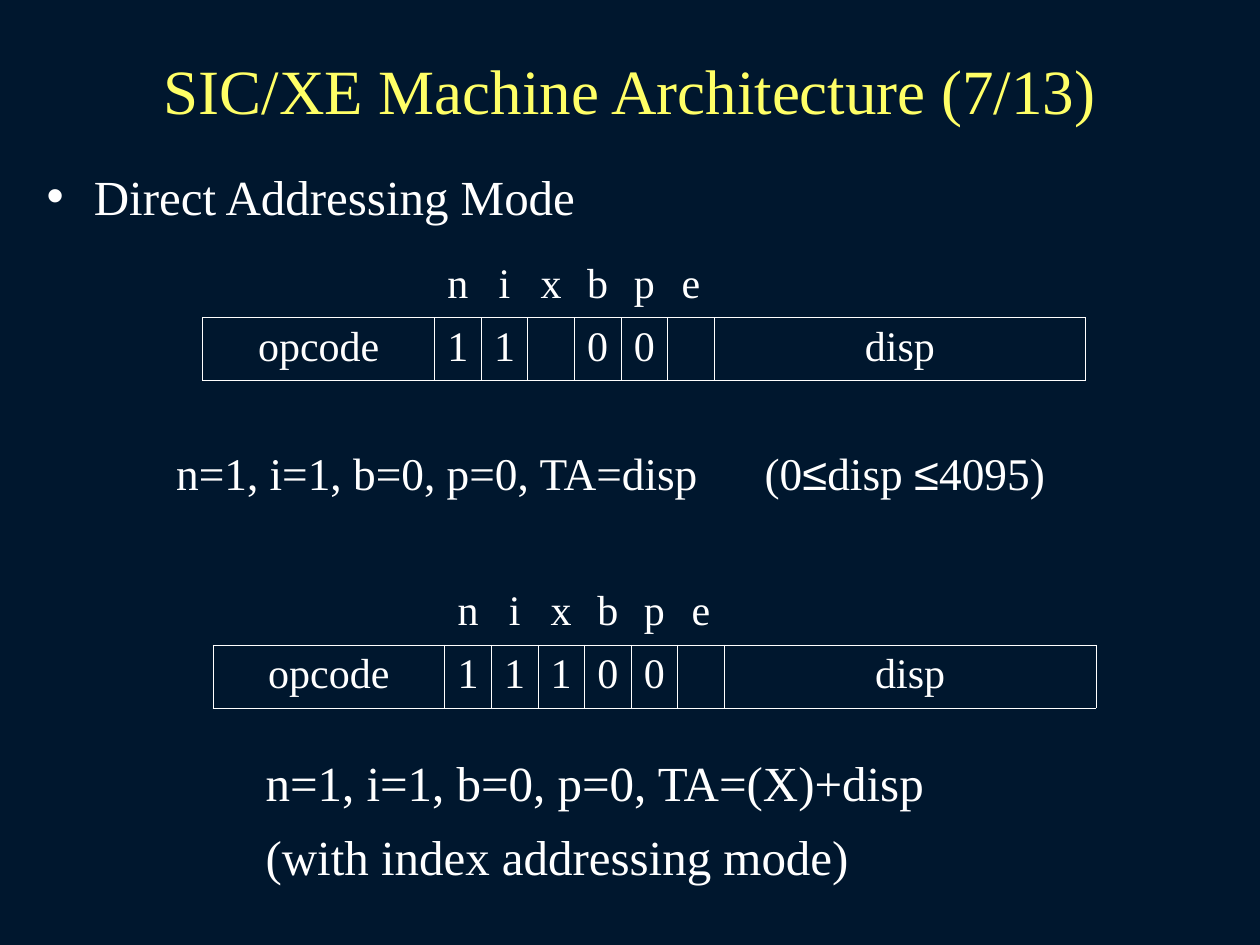
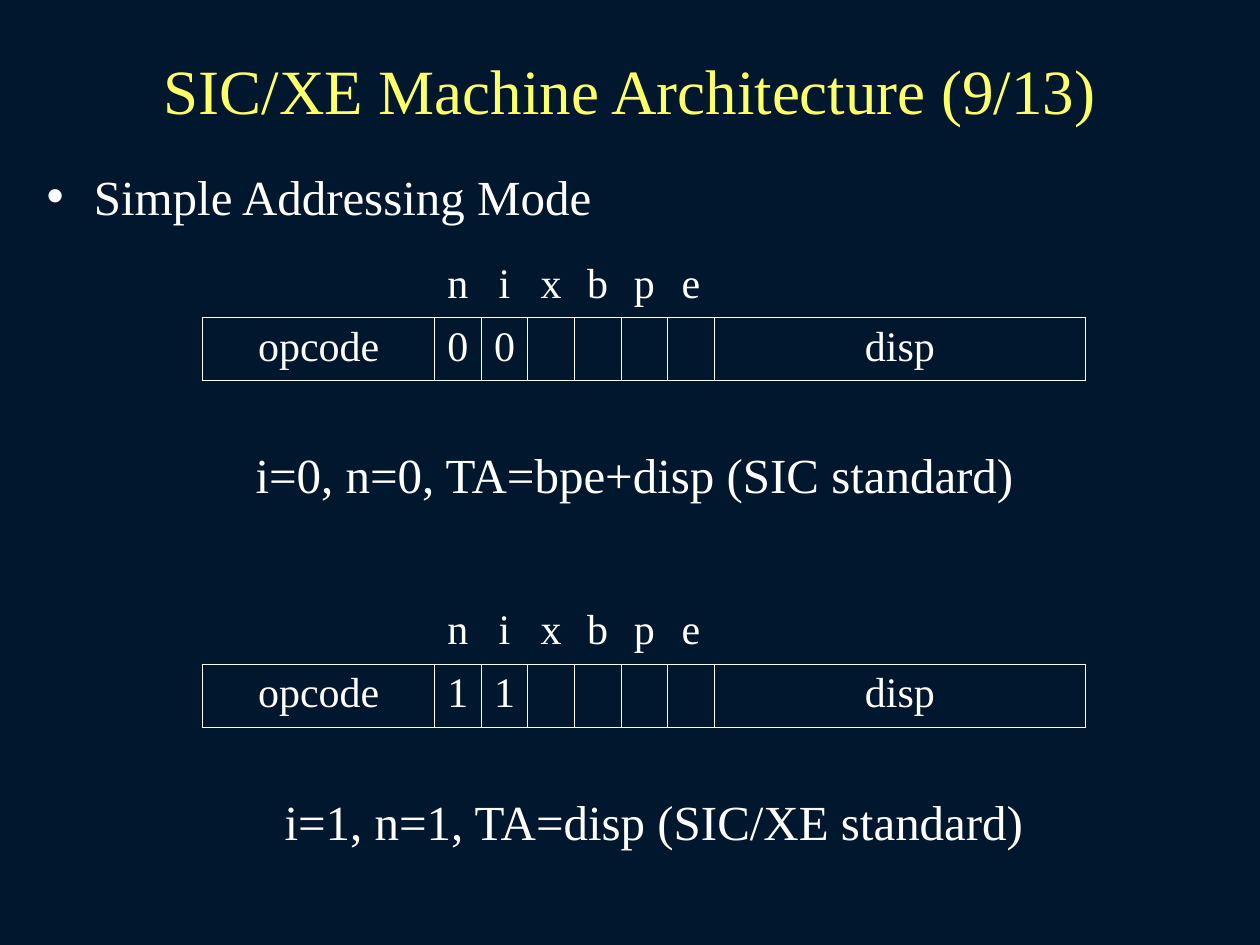
import pptx
import pptx.dml.color
import pptx.enum.text
import pptx.oxml
import pptx.oxml.ns
import pptx.util
from lxml import etree

COLORS = {"background": "00172E", "title": "FFFF66", "text": "FFFFFF"}
SERIF, SANS = "Times New Roman", "Arial"
COLUMNS, ROWS = 100, 75
CELL = pptx.util.Inches(10) // COLUMNS
NO_STYLE = "{2D5ABB26-0587-4C30-8999-92F81FD0307C}"
FLAGS = "nixbpe"
FIELD_WIDTHS = [18.4] + [3.7] * len(FLAGS) + [29.5]
ROW_HEIGHT = 5
ALIGN = pptx.enum.text.PP_ALIGN


def grid(count):
    return pptx.util.Emu(round(count * CELL))


def rgb(name):
    return pptx.dml.color.RGBColor.from_string(COLORS[name])


def place(sp, x, y, w, h):
    sp.left, sp.top, sp.width, sp.height = map(grid, (x, y, w, h))


def add_run(p, text, size, color="text", font=SERIF):
    r = p.add_run()
    r.text = text
    r.font.size = pptx.util.Pt(size)
    r.font.name = font
    r.font.color.rgb = rgb(color)


def prepare_layout(prs):
    """Set the background and the title and list positions for all slides."""
    fill = prs.slide_master.background.fill
    fill.solid()
    fill.fore_color.rgb = rgb("background")
    layout = prs.slide_layouts[1]
    title, body = layout.placeholders[0], layout.placeholders[1]
    place(title, 7.5, 2.5, 85, 9.2)
    place(body, 2.7, 12.3, 85, 6.3)
    return layout


def format_frame(tf):
    tf.word_wrap = True
    tf.auto_size = pptx.enum.text.MSO_AUTO_SIZE.NONE
    tf.margin_top = grid(0.9)


def add_slide(prs, layout, number, mode):
    s = prs.slides.add_slide(layout)
    p = s.shapes.title.text_frame.paragraphs[0]
    p.alignment = ALIGN.CENTER
    add_run(p, f"SIC/XE Machine Architecture ({number}/13)", 36, "title")

    tf = s.placeholders[1].text_frame
    format_frame(tf)
    p = tf.paragraphs[0]
    p.space_before = pptx.util.Pt(0)
    add_run(p, f"{mode} Addressing Mode", 28)
    return s


def add_note(s, x, y, w, h, lines, size=28, tab=None):
    """Add a text box; each line is a list of (text, font) runs."""
    tf = s.shapes.add_textbox(*map(grid, (x, y, w, h))).text_frame
    format_frame(tf)
    for i, runs in enumerate(lines):
        p = tf.add_paragraph() if i else tf.paragraphs[0]
        if i:
            p.space_before = pptx.util.Pt(9)
        if tab:
            tabs = etree.SubElement(p._p.get_or_add_pPr(), pptx.oxml.ns.qn("a:tabLst"))
            etree.SubElement(tabs, pptx.oxml.ns.qn("a:tab"), pos=str(grid(tab)), algn="l")
        for text, font in runs:
            add_run(p, text, size, font=font)


def add_borders(cell, sides):
    tc_pr = cell._tc.get_or_add_tcPr()
    for i, side in enumerate(sides):
        tc_pr.insert(i, pptx.oxml.parse_xml(
            f'<a:ln{side} {pptx.oxml.ns.nsdecls("a")} w="5715"><a:solidFill>'
            f'<a:srgbClr val="{COLORS["text"]}"/></a:solidFill></a:ln{side}>'))


def add_instruction(s, x, y, bits):
    """Draw the instruction format, with flag names above their bits."""
    rows = [["", *FLAGS, ""], ["opcode", *bits, "disp"]]
    frame = s.shapes.add_table(2, len(FIELD_WIDTHS), grid(x), grid(y),
                               grid(sum(FIELD_WIDTHS)), grid(2 * ROW_HEIGHT))
    table = frame.table
    table.first_row = table.horz_banding = False
    table._tbl.tblPr.find(pptx.oxml.ns.qn("a:tableStyleId")).text = NO_STYLE
    for column, width in zip(table.columns, FIELD_WIDTHS):
        column.width = grid(width)
    for i, row in enumerate(rows):
        for j, text in enumerate(row):
            cell = table.cell(i, j)
            cell.fill.background()
            add_borders(cell, "LRTB" if i else "B")
            if text.strip():
                p = cell.text_frame.paragraphs[0]
                p.alignment = ALIGN.CENTER
                add_run(p, text, 24)


def main():
    prs = pptx.Presentation()
    prs.slide_width, prs.slide_height = grid(COLUMNS), grid(ROWS)
    layout = prepare_layout(prs)

    s = add_slide(prs, layout, 7, "Direct")
    add_instruction(s, 16.1, 20.2, "11 00 ")
    add_note(s, 13, 34.4, 78, 6.3, [[
        ("n=1, i=1, b=0, p=0, TA=disp\t(0", SERIF), ("≤", SANS),
        ("disp ", SERIF), ("≤", SANS), ("4095)", SERIF)]], size=25.9, tab=46.7)
    add_instruction(s, 16.9, 46.2, "11100 ")
    add_note(s, 20.1, 58.8, 58.3, 14.2, [
        [("n=1, i=1, b=0, p=0, TA=(X)+disp", SERIF)],
        [("(with index addressing mode)", SERIF)]])

    s = add_slide(prs, layout, 9, "Simple")
    add_instruction(s, 16.1, 20.2, "00    ")
    add_note(s, 19.3, 34.4, 64.6, 6.3,
             [[("i=0, n=0, TA=bpe+disp (SIC standard)", SERIF)]])
    add_instruction(s, 16.1, 47.7, "11    ")
    add_note(s, 21.6, 61.9, 63.8, 6.3,
             [[("i=1, n=1, TA=disp (SIC/XE standard)", SERIF)]])

    prs.save("out.pptx")


if __name__ == "__main__":
    main()
